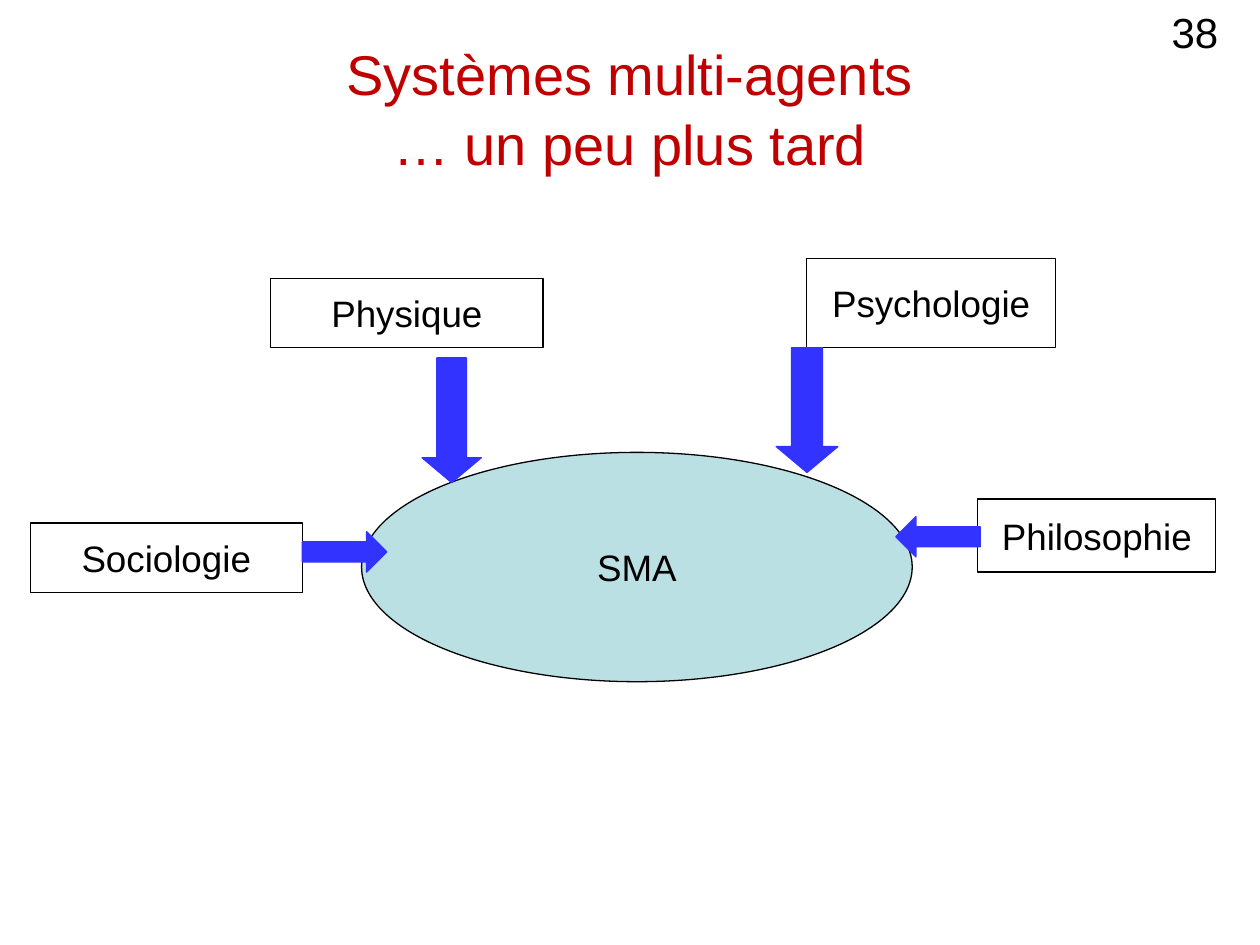
from pptx import Presentation
from pptx.dml.color import RGBColor
from pptx.enum.shapes import MSO_SHAPE
from pptx.enum.text import MSO_ANCHOR, PP_ALIGN
from pptx.util import Pt

RECTANGLE, ELLIPSE = MSO_SHAPE.RECTANGLE, MSO_SHAPE.OVAL
DOWN, LEFT, RIGHT = MSO_SHAPE.DOWN_ARROW, MSO_SHAPE.LEFT_ARROW, MSO_SHAPE.RIGHT_ARROW
MIDDLE, CENTER = MSO_ANCHOR.MIDDLE, PP_ALIGN.CENTER

BLACK = RGBColor(0x00, 0x00, 0x00)
WHITE = RGBColor(0xFF, 0xFF, 0xFF)
RED = RGBColor(0xC0, 0x00, 0x00)
BLUE = RGBColor(0x33, 0x33, 0xFF)
PALE_TEAL = RGBColor(0xBB, 0xE0, 0xE3)
FONT = "Arial"

# Boxes are left, top, width, height in points.
TITLE_LINES = ("Systèmes multi-agents", "… un peu plus tard")
TITLE_BOX = (54, 15.84, 612, 90)
PAGE_NUMBER = "38"
PAGE_NUMBER_BOX = (662.4, 0, 54, 36)
NODES = [
    ("Physique", RECTANGLE, WHITE, (154.8, 159.12, 155.52, 39.6)),
    ("Psychologie", RECTANGLE, WHITE, (460.8, 147.6, 142.56, 51.12)),
    ("SMA", ELLIPSE, PALE_TEAL, (206.64, 258.48, 314.64, 131.04)),
    ("Sociologie", RECTANGLE, WHITE, (17.28, 298.8, 155.52, 39.6)),
    ("Philosophie", RECTANGLE, WHITE, (558.72, 285.12, 136.08, 41.76)),
]
ARROWS = [
    (DOWN, 0.42, (241.2, 204.48, 33.84, 71.28)),
    (DOWN, 0.42, (443.52, 198.72, 35.28, 71.28)),
    (RIGHT, 0.5, (172.8, 303.84, 48.24, 23.04)),
    (LEFT, 0.5, (511.92, 295.2, 48.24, 23.04)),
]


def points(box):
    return [Pt(value) for value in box]


def format_paragraph(paragraph, size, color, alignment=CENTER):
    paragraph.alignment = alignment
    paragraph.font.name = FONT
    paragraph.font.size = Pt(size)
    paragraph.font.color.rgb = color


def add_figure(slide, preset, box, fill, line):
    shape = slide.shapes.add_shape(preset, *points(box))
    shape.shadow.inherit = False
    shape.fill.solid()
    shape.fill.fore_color.rgb = fill
    shape.line.color.rgb = line
    shape.line.width = Pt(0.75)
    return shape


def add_title(slide):
    title = slide.shapes.title
    title.left, title.top, title.width, title.height = points(TITLE_BOX)
    title.text_frame.vertical_anchor = MIDDLE
    paragraph = title.text_frame.paragraphs[0]
    for index, line in enumerate(TITLE_LINES):
        if index:
            paragraph.add_line_break()
        paragraph.add_run().text = line
    paragraph.line_spacing = 1.05
    format_paragraph(paragraph, 32, RED)


def add_page_number(slide):
    frame = slide.shapes.add_textbox(*points(PAGE_NUMBER_BOX)).text_frame
    frame.word_wrap = True
    frame.text = PAGE_NUMBER
    format_paragraph(frame.paragraphs[0], 24, BLACK, PP_ALIGN.LEFT)


def add_node(slide, label, preset, fill, box):
    frame = add_figure(slide, preset, box, fill, BLACK).text_frame
    frame.word_wrap = False
    frame.vertical_anchor = MIDDLE
    frame.text = label
    format_paragraph(frame.paragraphs[0], 21, BLACK)


def main():
    presentation = Presentation()
    presentation.slide_width, presentation.slide_height = Pt(720), Pt(540)
    slide = presentation.slides.add_slide(presentation.slide_layouts[5])
    add_title(slide)
    add_page_number(slide)
    for node in NODES:
        add_node(slide, *node)
    for preset, head_length, box in ARROWS:
        arrow = add_figure(slide, preset, box, BLUE, BLUE)
        arrow.adjustments[1] = head_length
    presentation.save("out.pptx")


if __name__ == "__main__":
    main()
